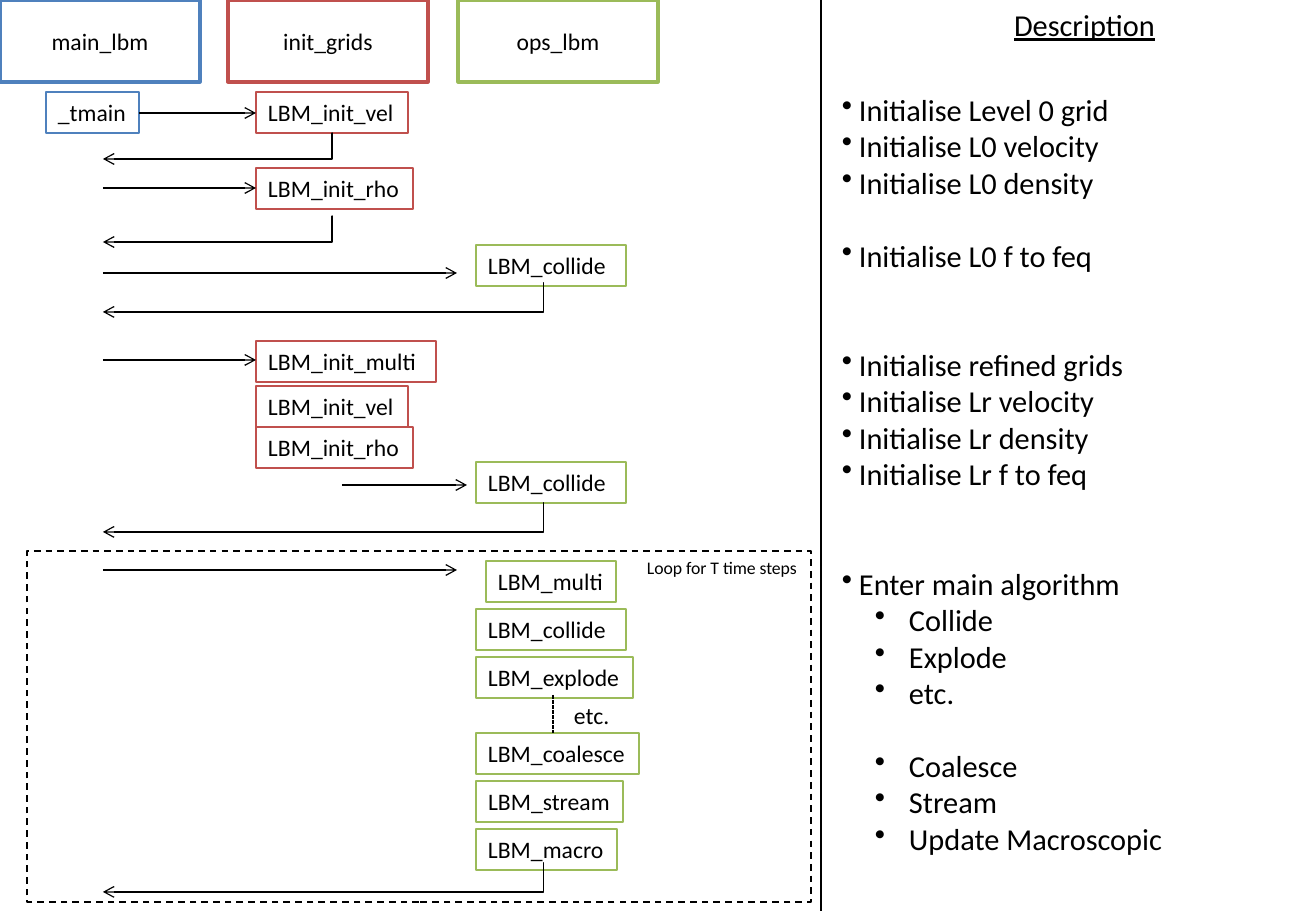
from typing import NamedTuple

import pptx
import pptx.util
import pptx.oxml
import pptx.dml.color
import pptx.enum.dml
import pptx.enum.shapes
import pptx.enum.text
from pptx.oxml.ns import qn

EMU_PER_PIXEL = 914400 / 121.5
BLACK, WHITE = "000000", "FFFFFF"
MAIN, GRIDS, OPS = "4F81BD", "C0504D", "9BBB59"
CALL_HEIGHT, GRIDS_LEFT, OPS_LEFT = 41, 256, 476
MAIN_LINE, OPS_RETURN = 103, 543
BLANK_LINE = 21.6
ALIGN = pptx.enum.text.PP_ALIGN
DASH = pptx.enum.dml.MSO_LINE


class Module(NamedTuple):
    """A source module heading a column."""
    name: str
    left: int
    color: str


class Call(NamedTuple):
    """A function box in the call sequence."""
    name: str
    left: int
    top: int
    width: int
    color: str


class Arrow(NamedTuple):
    """A horizontal call arrow."""
    left: int
    right: int
    y: int


class Return(NamedTuple):
    """An elbow arrow going back to the main column."""
    x: int
    top: int
    bottom: int


class Step(NamedTuple):
    """A bulleted description, with the empty lines above it."""
    text: str
    level: int = 0
    lines_above: int = 0


MODULES = [Module("main_lbm", 0, MAIN), Module("init_grids", 228, GRIDS),
           Module("ops_lbm", 458, OPS)]
CALLS = [
    Call("_tmain", 46, 92, 93, MAIN),
    Call("LBM_init_vel", GRIDS_LEFT, 92, 152, GRIDS),
    Call("LBM_init_rho", GRIDS_LEFT, 168, 157, GRIDS),
    Call("LBM_collide", OPS_LEFT, 245, 150, OPS),
    Call("LBM_init_multi", GRIDS_LEFT, 341, 180, GRIDS),
    Call("LBM_init_vel", GRIDS_LEFT, 386, 152, GRIDS),
    Call("LBM_init_rho", GRIDS_LEFT, 427, 157, GRIDS),
    Call("LBM_collide", OPS_LEFT, 462, 150, OPS),
    Call("LBM_multi", 486, 561, 130, OPS),
]
LOOP_TOP, LOOP_PITCH = 609, 48
LOOP_CALLS = [("LBM_collide", 150, 0), ("LBM_explode", 157, 1),
              ("LBM_coalesce", 163, 2.58), ("LBM_stream", 147, 3.58),
              ("LBM_macro", 141, 4.58)]
CALLS += [Call(name, OPS_LEFT, round(LOOP_TOP + row * LOOP_PITCH), width, OPS)
          for name, width, row in LOOP_CALLS]
ARROWS = [Arrow(139, 256, 113), Arrow(MAIN_LINE, 256, 188),
          Arrow(MAIN_LINE, 457, 273), Arrow(MAIN_LINE, 256, 360),
          Arrow(342, 467, 485), Arrow(MAIN_LINE, 457, 570)]
RETURNS = [Return(332, 133, 159), Return(332, 216, 242),
           Return(OPS_RETURN, 283, 312), Return(OPS_RETURN, 503, 532),
           Return(OPS_RETURN, 863, 892)]
STEPS = [
    Step("Initialise Level 0 grid"), Step("Initialise L0 velocity"),
    Step("Initialise L0 density"), Step("Initialise L0 f to feq", 0, 1),
    Step("Initialise refined grids", 0, 2), Step("Initialise Lr velocity"),
    Step("Initialise Lr density"), Step("Initialise Lr f to feq"),
    Step("Enter main algorithm", 0, 2), Step("Collide", 1), Step("Explode", 1),
    Step("etc.", 1), Step("Coalesce", 1, 1), Step("Stream", 1),
    Step("Update Macroscopic", 1),
]
STEP_INDENTS = [(17, -17), (67, -34)]


def px(pixels: float) -> int:
    """Turn pixels into EMU."""
    return round(pixels * EMU_PER_PIXEL)


def rgb(color: str) -> pptx.dml.color.RGBColor:
    """Turn a hex string into a colour."""
    return pptx.dml.color.RGBColor.from_string(color)


def write(paragraph, text: str, *, size: float = 14, align=ALIGN.LEFT,
          underline: bool = False) -> None:
    """Put formatted text in a paragraph."""
    paragraph.alignment = align
    run = paragraph.add_run()
    run.text = text
    run.font.name = "Calibri"
    run.font.size = pptx.util.Pt(size)
    run.font.underline = underline
    run.font.color.rgb = rgb(BLACK)


def set_frame(shape, align=ALIGN.LEFT, anchor=pptx.enum.text.MSO_ANCHOR.TOP):
    """Set margins and wrapping, and return the first paragraph."""
    frame = shape.text_frame
    frame.word_wrap = True
    frame.vertical_anchor = anchor
    frame.margin_left = px(12)
    frame.margin_right = 0 if align == ALIGN.LEFT else px(12)
    frame.margin_top = frame.margin_bottom = px(6)
    return frame.paragraphs[0]


def add_label(slide, text: str, left: int, top: int, width: int, height: int,
              **text_format) -> None:
    """Add free-standing text."""
    label = slide.shapes.add_textbox(px(left), px(top), px(width), px(height))
    write(set_frame(label, text_format.get("align", ALIGN.LEFT)), text, **text_format)


def add_box(slide, left: int, top: int, width: int, height: int, color: str,
            weight: float = 0.75, fill: str = ""):
    """Add an outlined rectangle, filled when a fill is given."""
    box = slide.shapes.add_shape(pptx.enum.shapes.MSO_SHAPE.RECTANGLE,
                                 px(left), px(top), px(width), px(height))
    box.shadow.inherit = False
    if fill:
        box.fill.solid()
        box.fill.fore_color.rgb = rgb(fill)
    else:
        box.fill.background()
    box.line.color.rgb = rgb(color)
    box.line.width = pptx.util.Pt(weight)
    return box


def add_line(slide, start: tuple[int, int], end: tuple[int, int],
             arrow: bool = False, elbow: bool = False):
    """Add a black line; an elbow turns down first, then goes across."""
    kinds = pptx.enum.shapes.MSO_CONNECTOR
    line = slide.shapes.add_connector(kinds.ELBOW if elbow else kinds.STRAIGHT,
                                      *map(px, start + end))
    line.line.color.rgb = rgb(BLACK)
    line.line.width = pptx.util.Pt(0.75)
    properties = line._element.spPr
    if elbow:
        guides = properties.find(qn("a:prstGeom")).get_or_add_avLst()
        guide = guides.makeelement(qn("a:gd"), {"name": "adj1", "fmla": "val -100"})
        guides.append(guide)
    if arrow:
        outline = properties.find(qn("a:ln"))
        outline.append(outline.makeelement(qn("a:tailEnd"), {"type": "arrow"}))
    properties.append(properties.makeelement(qn("a:effectLst"), {}))
    return line


def add_steps(slide) -> None:
    """Add the bulleted description of the algorithm."""
    description = slide.shapes.add_textbox(px(830), px(85), px(470), px(823))
    paragraph = set_frame(description)
    for index, step in enumerate(STEPS):
        if index:
            paragraph = description.text_frame.add_paragraph()
        write(paragraph, step.text, size=18)
        paragraph.level = step.level
        paragraph.space_before = pptx.util.Pt(step.lines_above * BLANK_LINE)
        properties = paragraph._p.get_or_add_pPr()
        margin, indent = STEP_INDENTS[step.level]
        properties.set("marL", str(px(margin)))
        properties.set("indent", str(px(indent)))
        properties.append(properties.makeelement(qn("a:buChar"), {"char": "•"}))


def main() -> None:
    """Build the call sequence slide."""
    deck = pptx.Presentation()
    deck.slide_width, deck.slide_height = px(1316), px(911)
    slide = deck.slides.add_slide(deck.slide_layouts[6])
    middle = pptx.enum.text.MSO_ANCHOR.MIDDLE

    time_loop = add_box(slide, 27, 551, 784, 351, BLACK, 1, WHITE)
    time_loop.line.dash_style = DASH.DASH
    for module in MODULES:
        header = add_box(slide, module.left, 0, 200, 82, module.color, 2, WHITE)
        write(set_frame(header, ALIGN.CENTER, middle), module.name, align=ALIGN.CENTER)
    for call in CALLS:
        box = add_box(slide, call.left, call.top, call.width, CALL_HEIGHT, call.color)
        write(set_frame(box), call.name)
    for arrow in ARROWS:
        add_line(slide, (arrow.left, arrow.y), (arrow.right, arrow.y), arrow=True)
    for back in RETURNS:
        add_line(slide, (back.x, back.top), (MAIN_LINE, back.bottom),
                 arrow=True, elbow=True)
    omitted_calls = add_line(slide, (553, 695), (553, 733))
    omitted_calls.line.dash_style = DASH.SQUARE_DOT
    add_line(slide, (821, 0), (821, 911))

    add_label(slide, "etc.", 562, 695, 60, 41)
    add_label(slide, "Loop for T time steps", 629, 551, 180, 34,
              size=10.5, align=ALIGN.RIGHT)
    add_label(slide, "Description", 1002, 0, 180, 49, size=18, underline=True)
    add_steps(slide)
    deck.save("out.pptx")


main()
